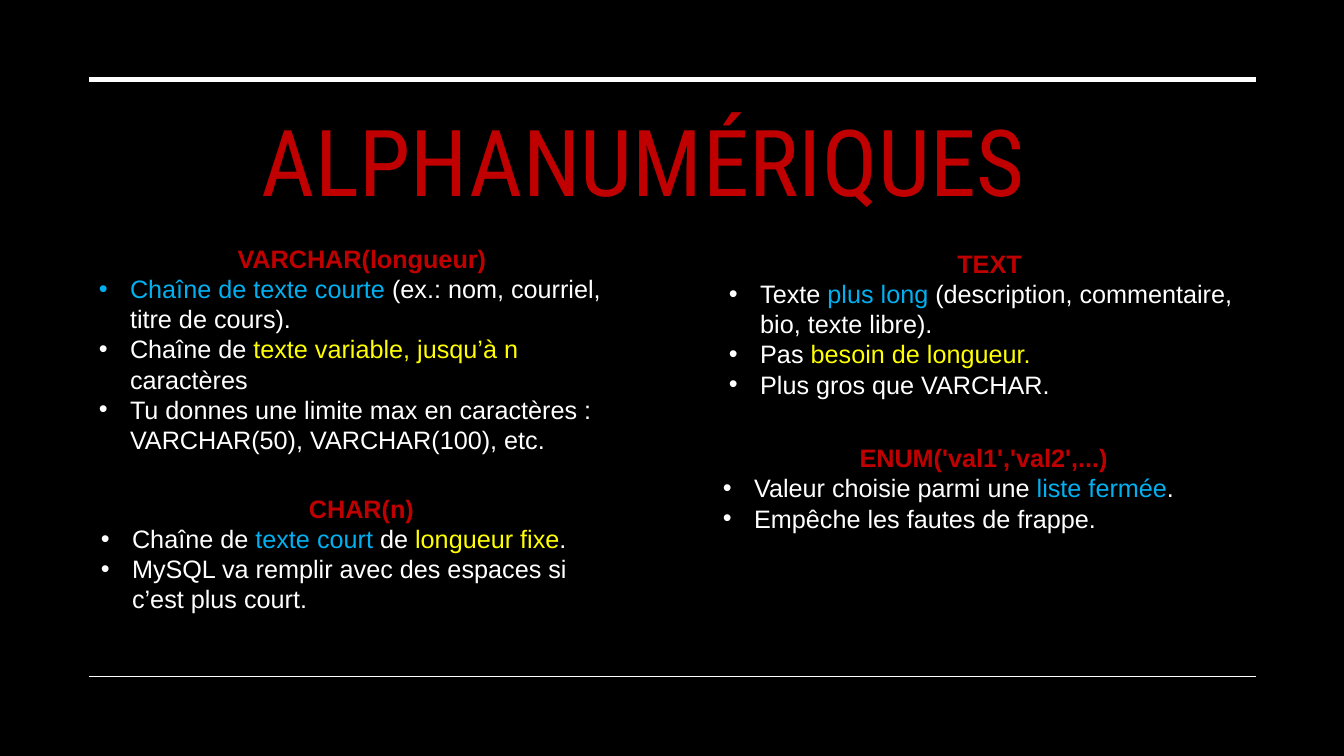
from dataclasses import dataclass

import lxml.etree
import pptx
import pptx.dml.color
import pptx.enum.shapes
import pptx.enum.text
import pptx.oxml.ns
import pptx.util

Inches = pptx.util.Inches
RED, WHITE, BLUE, YELLOW, BLACK = "C00000", "FFFFFF", "00B0F0", "FFFF00", "000000"
BULLET_INDENT = Inches(0.31)
COMPARISON_LAYOUT = 4


@dataclass
class TextRun:
    text: str
    color: str = WHITE


@dataclass
class TypeBlock:
    """A data type: its heading, its bullets and its place in inches."""
    left: float
    top: float
    width: float
    height: float
    heading: str
    bullets: list[list[TextRun]]


@dataclass
class Rule:
    y: float
    weight: float


RULES = [Rule(0.79, 3.5), Rule(6.71, 1)]

BLOCKS = [
    TypeBlock(0.88, 2.36, 5.42, 1.92, "VARCHAR(longueur)", [
        [TextRun("Chaîne de texte courte ", BLUE),
         TextRun("(ex.: nom, courriel, titre de cours).")],
        [TextRun("Chaîne de "), TextRun("texte variable, jusqu’à n ", YELLOW),
         TextRun("caractères")],
        [TextRun("Tu donnes une limite max en caractères : "
                 "VARCHAR(50), VARCHAR(100), etc.")],
    ]),
    TypeBlock(0.9, 4.84, 5.37, 1.31, "CHAR(n)", [
        [TextRun("Chaîne de "), TextRun("texte court ", BLUE), TextRun("de "),
         TextRun("longueur fixe", YELLOW), TextRun(".")],
        [TextRun("MySQL va remplir avec des espaces si c’est plus court.")],
    ]),
    TypeBlock(7.13, 2.41, 5.37, 1.62, "TEXT", [
        [TextRun("Texte "), TextRun("plus long ", BLUE),
         TextRun("(description, commentaire, bio, texte libre).")],
        [TextRun("Pas "), TextRun("besoin de longueur.", YELLOW)],
        [TextRun("Plus gros que VARCHAR.")],
    ]),
    TypeBlock(7.07, 4.34, 5.37, 1.01, "ENUM('val1','val2',...)", [
        [TextRun("Valeur choisie parmi une "), TextRun("liste fermée", BLUE),
         TextRun(".")],
        [TextRun("Empêche les fautes de frappe.")],
    ]),
]


def rgb(color: str) -> pptx.dml.color.RGBColor:
    return pptx.dml.color.RGBColor.from_string(color)


def add_text(paragraph, text: str, *, color: str = WHITE, size: float = 18,
             font: str = "Arial", bold: bool = False, spacing: float = 0) -> None:
    """Append a formatted run; size and letter spacing are in points."""
    run = paragraph.add_run()
    run.text = text
    run.font.name = font
    run.font.size = pptx.util.Pt(size)
    run.font.bold = bold
    run.font.color.rgb = rgb(color)
    if spacing:
        run.font._element.set("spc", str(round(spacing * 100)))


def format_paragraph(paragraph, *, bullet: bool) -> None:
    """Set the alignment, spacing, indent and bullet of a body paragraph."""
    alignment = pptx.enum.text.PP_ALIGN
    paragraph.alignment = alignment.LEFT if bullet else alignment.CENTER
    paragraph.line_spacing = 1.0
    paragraph.space_before = paragraph.space_after = pptx.util.Pt(0)
    properties = paragraph._p.get_or_add_pPr()
    indent = BULLET_INDENT if bullet else 0
    properties.set("marL", str(indent))
    properties.set("indent", str(-indent))
    qn = pptx.oxml.ns.qn
    if bullet:
        lxml.etree.SubElement(properties, qn("a:buFont"), typeface="Arial")
        lxml.etree.SubElement(properties, qn("a:buChar"), char="•")
    else:
        lxml.etree.SubElement(properties, qn("a:buNone"))


def place(shape, left: float, top: float, width: float, height: float) -> None:
    shape.left, shape.top = Inches(left), Inches(top)
    shape.width, shape.height = Inches(width), Inches(height)


def fill_title(title) -> None:
    place(title, 0.76, 0.95, 11.25, 1.4)
    frame = title.text_frame
    frame.vertical_anchor = pptx.enum.text.MSO_ANCHOR.MIDDLE
    frame.auto_size = pptx.enum.text.MSO_AUTO_SIZE.NONE
    paragraph = frame.paragraphs[0]
    paragraph.alignment = pptx.enum.text.PP_ALIGN.CENTER
    paragraph.line_spacing = 0.9
    add_text(paragraph, "ALPHANUMÉRIQUES", color=RED, size=66,
             font="Roboto Condensed", spacing=0.3)


def draw_rule(slide, rule: Rule) -> None:
    line = slide.shapes.add_connector(
        pptx.enum.shapes.MSO_CONNECTOR.STRAIGHT,
        Inches(0.88), Inches(rule.y), Inches(12.46), Inches(rule.y))
    line.line.color.rgb = rgb(WHITE)
    line.line.width = pptx.util.Pt(rule.weight)
    lxml.etree.SubElement(line._element.spPr, pptx.oxml.ns.qn("a:effectLst"))


def fill_block(placeholder, block: TypeBlock) -> None:
    place(placeholder, block.left, block.top, block.width, block.height)
    frame = placeholder.text_frame
    frame.word_wrap = True
    frame.vertical_anchor = pptx.enum.text.MSO_ANCHOR.TOP
    frame.auto_size = pptx.enum.text.MSO_AUTO_SIZE.SHAPE_TO_FIT_TEXT
    heading = frame.paragraphs[0]
    format_paragraph(heading, bullet=False)
    add_text(heading, block.heading, color=RED, bold=True)
    for runs in block.bullets:
        paragraph = frame.add_paragraph()
        format_paragraph(paragraph, bullet=True)
        for run in runs:
            add_text(paragraph, run.text, color=run.color)


def main() -> None:
    presentation = pptx.Presentation()
    presentation.slide_width = Inches(13.33)
    presentation.slide_height = Inches(7.5)
    slide = presentation.slides.add_slide(
        presentation.slide_layouts[COMPARISON_LAYOUT])
    slide.background.fill.solid()
    slide.background.fill.fore_color.rgb = rgb(BLACK)
    title, *bodies = slide.placeholders
    fill_title(title)
    for rule in RULES:
        draw_rule(slide, rule)
    for body, block in zip(bodies, BLOCKS):
        fill_block(body, block)
    presentation.save("out.pptx")


if __name__ == "__main__":
    main()
